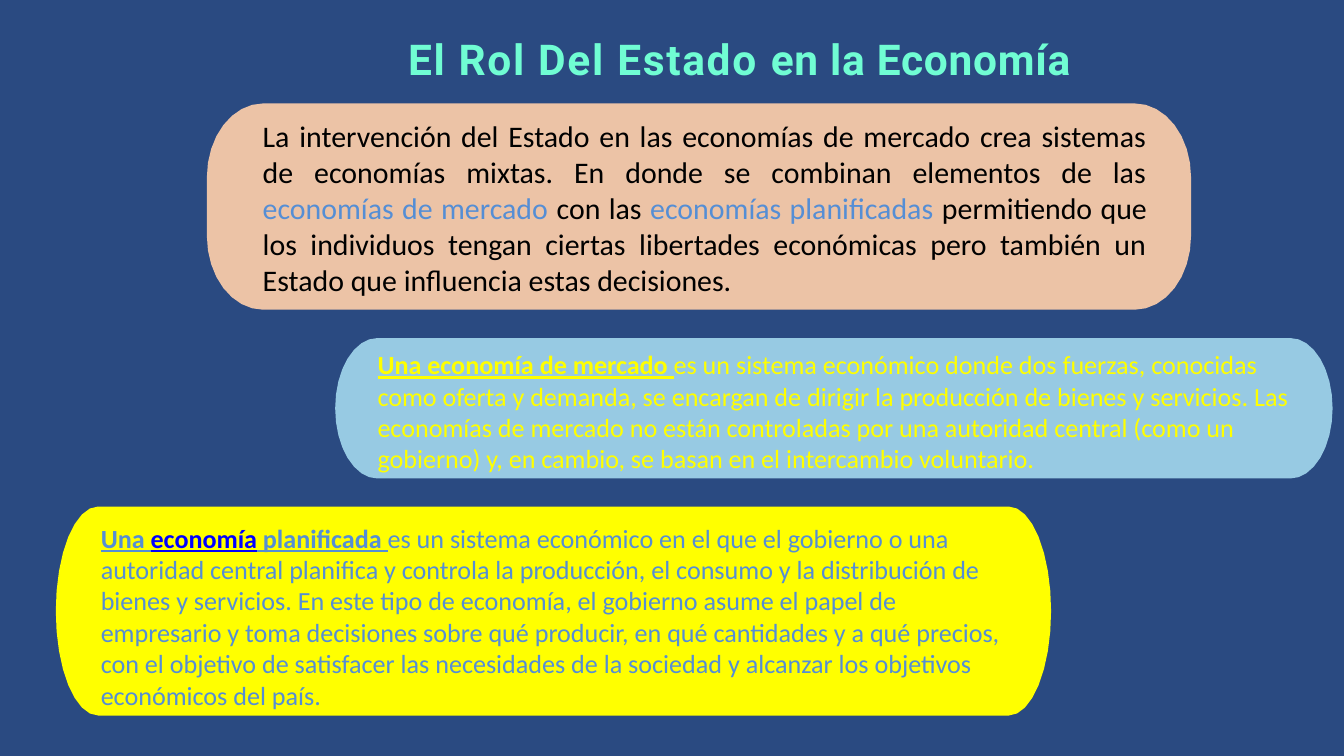
from math import cos, pi, sin

from pptx import Presentation
from pptx.dml.color import RGBColor
from pptx.enum.text import MSO_ANCHOR, MSO_AUTO_SIZE, PP_ALIGN
from pptx.util import Cm, Pt

NAVY = RGBColor(0x2A, 0x4A, 0x81)
MINT = RGBColor(0x70, 0xFD, 0xD3)
PEACH = RGBColor(0xEC, 0xC3, 0xA6)
SKY = RGBColor(0x97, 0xCA, 0xE3)
YELLOW = RGBColor(0xFF, 0xFF, 0x00)
BLACK = RGBColor(0x00, 0x00, 0x00)
BLUE = RGBColor(0x55, 0x8E, 0xD5)
LINK_BLUE = RGBColor(0x00, 0x00, 0xFF)

CORNER_STEPS = 8


def add_text(paragraph, text, size=28, color=BLACK, font="Calibri",
             bold=False, underline=False, spacing=None):
    run = paragraph.add_run()
    run.text = text
    run.font.name = font
    run.font.size = Pt(size)
    run.font.bold = bold
    run.font.underline = underline
    run.font.color.rgb = color
    if spacing is not None:
        run.font._element.set("spc", str(round(spacing * 100)))


def add_panel(slide, left, top, width, height, radius_x, radius_y, color):
    """Draw a panel with elliptical corners; lengths in centimetres."""
    right, bottom = left + width, top + height
    centers = [
        (right - radius_x, bottom - radius_y),
        (left + radius_x, bottom - radius_y),
        (left + radius_x, top + radius_y),
        (right - radius_x, top + radius_y),
    ]
    points = []
    for quarter, (center_x, center_y) in enumerate(centers):
        for step in range(CORNER_STEPS + 1):
            angle = (quarter + step / CORNER_STEPS) * pi / 2
            points.append((Cm(center_x + radius_x * cos(angle)),
                           Cm(center_y + radius_y * sin(angle))))
    builder = slide.shapes.build_freeform(*points[0])
    builder.add_line_segments(points[1:], close=True)
    shape = builder.convert_to_shape()
    shape.shadow.inherit = False
    shape.fill.solid()
    shape.fill.fore_color.rgb = color
    shape.line.fill.background()


presentation = Presentation()
presentation.slide_width = Cm(50.8)
presentation.slide_height = Cm(28.58)
slide = presentation.slides.add_slide(presentation.slide_layouts[5])

# Background
slide.background.fill.solid()
slide.background.fill.fore_color.rgb = NAVY

# Title
title = slide.shapes.title
title.left, title.top, title.width, title.height = Cm(1.47), Cm(1.17), Cm(48.69), Cm(2.03)
frame = title.text_frame
frame.margin_left = frame.margin_right = frame.margin_bottom = 0
frame.margin_top = Cm(0.1)
frame.vertical_anchor = MSO_ANCHOR.TOP
frame.word_wrap = True
frame.auto_size = MSO_AUTO_SIZE.SHAPE_TO_FIT_TEXT
paragraph = frame.paragraphs[0]
paragraph.alignment = PP_ALIGN.CENTER
paragraph.line_spacing = Pt(54.3)
properties = paragraph._p.get_or_add_pPr()
properties.set("marL", str(Cm(11.79)))
properties.set("indent", str(Cm(-7.52)))
title_format = dict(size=45.5, color=MINT, font="Roboto", bold=True)
add_text(paragraph, "El Rol Del Estado ", spacing=1.8, **title_format)
add_text(paragraph, "en la Economía", spacing=0.8, **title_format)

# Panels: left, top, width, height, corner radii, colour
panels = [
    (7.82, 3.91, 37.2, 7.8, 2.13, 2.79, PEACH),
    (12.67, 12.78, 37.7, 5.31, 1.6, 2.65, SKY),
    (2.11, 19.15, 37.62, 7.9, 1.6, 3.95, YELLOW),
]
for panel in panels:
    add_panel(slide, *panel)

# Panel texts: box, alignment, runs with their format
intro = dict(size=32)
intro_term = dict(size=32, color=BLUE)
market = dict(color=YELLOW)
planned = dict(color=BLUE)
heading = dict(bold=True, underline=True)
texts = [
    ((9.68, 4.34, 33.93, 7.09), PP_ALIGN.JUSTIFY, [
        ("La intervención del Estado en las economías de mercado crea sistemas de "
         "economías mixtas. En donde se combinan elementos de las ", intro),
        ("economías de mercado", intro_term),
        (" con las ", intro),
        ("economías planificadas ", intro_term),
        ("permitiendo que los individuos tengan ciertas libertades económicas pero "
         "también un Estado que influencia estas decisiones. ", intro),
    ]),
    ((14.02, 13.06, 35.31, 5.05), PP_ALIGN.LEFT, [
        ("Una economía de mercado ", market | heading),
        ("es un sistema económico donde dos fuerzas, conocidas como oferta y demanda, "
         "se encargan de dirigir la producción de bienes y servicios. Las economías de "
         "mercado no están controladas por una autoridad central (como un gobierno) y, "
         "en cambio, se basan en el intercambio voluntario.", market),
    ]),
    ((3.56, 19.61, 34.72, 7.44), PP_ALIGN.LEFT, [
        ("Una ", planned | heading),
        ("economía", heading | dict(color=LINK_BLUE)),
        (" planificada ", planned | heading),
        ("es un sistema económico en el que el gobierno o una autoridad central "
         "planifica y controla la producción, el consumo y la distribución de bienes y "
         "servicios. En este tipo de economía, el gobierno asume el papel de empresario "
         "y toma decisiones sobre qué producir, en qué cantidades y a qué precios, con "
         "el objetivo de satisfacer las necesidades de la sociedad y alcanzar los "
         "objetivos económicos del país.", planned),
    ]),
]
for box, alignment, runs in texts:
    frame = slide.shapes.add_textbox(*map(Cm, box)).text_frame
    frame.word_wrap = True
    frame.auto_size = MSO_AUTO_SIZE.SHAPE_TO_FIT_TEXT
    paragraph = frame.paragraphs[0]
    paragraph.alignment = alignment
    for text, text_format in runs:
        add_text(paragraph, text, **text_format)

presentation.save("out.pptx")
